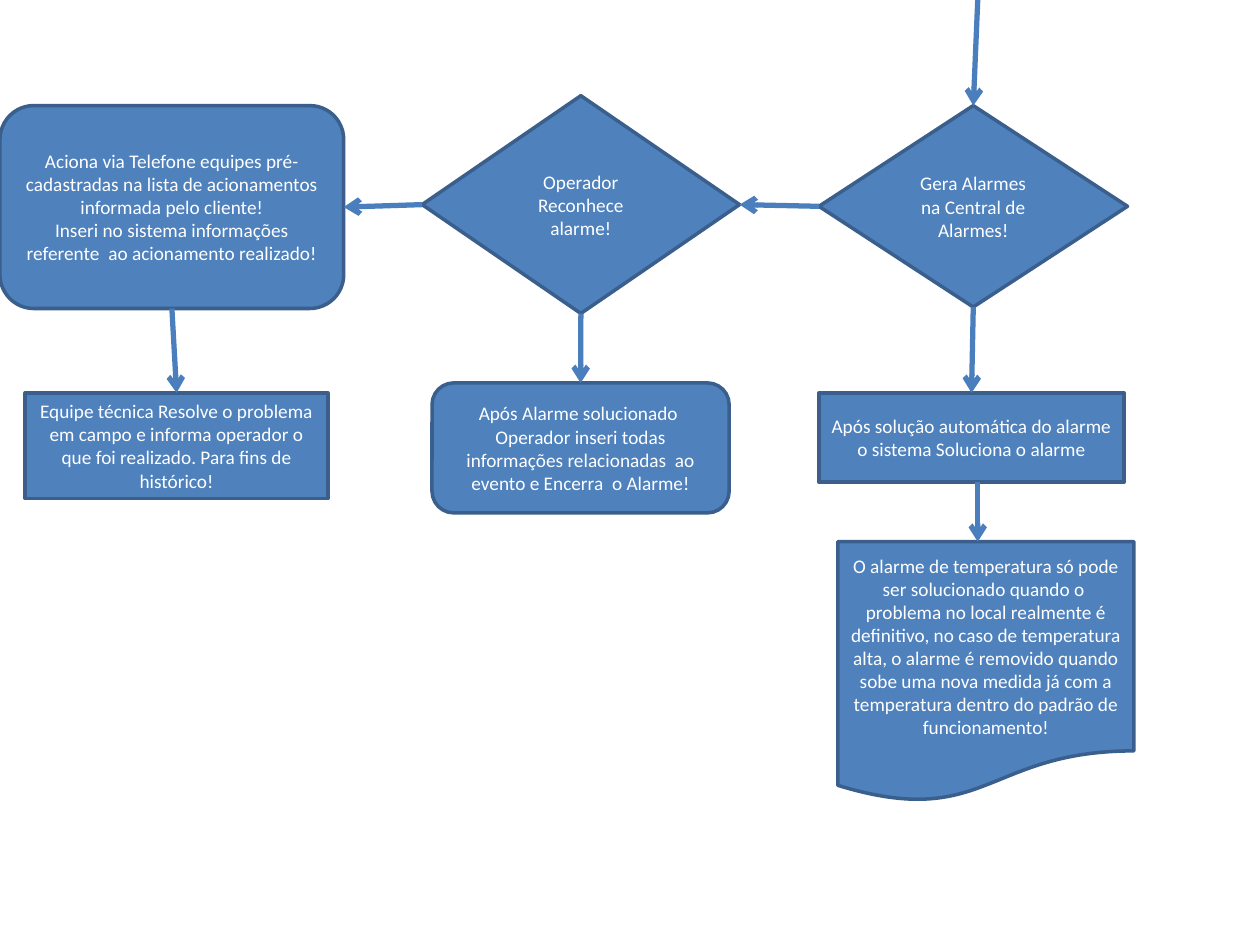
from pptx import Presentation
from pptx import util as u
from pptx.dml.color import RGBColor
from pptx.enum import shapes, text
from pptx.oxml import ns, xmlchemy

FILL = RGBColor(0x4F, 0x81, 0xBD)
OUTLINE = RGBColor(0x3A, 0x5F, 0x8C)
ARROW = RGBColor(0x4B, 0x7E, 0xBC)
WHITE = RGBColor(0xFF, 0xFF, 0xFF)
TOP, LEFT, BOTTOM, RIGHT = range(4)
KIND = shapes.MSO_SHAPE


def write(frame, wording, font="Calibri", size=11, color=WHITE, align=text.PP_ALIGN.CENTER):
    frame.word_wrap = True
    frame.vertical_anchor = text.MSO_ANCHOR.MIDDLE
    frame.text = wording
    for paragraph in frame.paragraphs:
        paragraph.alignment = align
        for run in paragraph.runs:
            run.font.name = font
            run.font.size = u.Pt(size)
            run.font.color.rgb = color


class Flowchart:
    """Draws steps and arrows on one slide in a shared style."""

    def __init__(self, slide):
        self.slide = slide

    def step(self, kind, left, top, width, height, wording):
        box = self.slide.shapes.add_shape(kind, *map(u.Cm, (left, top, width, height)))
        box.shadow.inherit = False
        box.fill.solid()
        box.fill.fore_color.rgb = FILL
        box.line.color.rgb = OUTLINE
        box.line.width = u.Pt(2)
        write(box.text_frame, wording)
        return box

    def arrow(self, start=(0, 0), end=(0, 0)):
        link = self.slide.shapes.add_connector(
            shapes.MSO_CONNECTOR.STRAIGHT, *map(u.Cm, start + end))
        link.line.color.rgb = ARROW
        link.line.width = u.Pt(3)
        properties = link.element.spPr
        head = xmlchemy.OxmlElement("a:tailEnd")
        head.set("type", "arrow")
        properties.find(ns.qn("a:ln")).append(head)
        properties.append(xmlchemy.OxmlElement("a:effectLst"))
        return link

    def join(self, source, source_side, target, target_side):
        link = self.arrow()
        link.begin_connect(source, source_side)
        link.end_connect(target, target_side)


def main():
    deck = Presentation()
    deck.slide_width, deck.slide_height = u.Cm(25.4), u.Cm(19.05)
    chart = Flowchart(deck.slides.add_slide(deck.slide_layouts[6]))

    phone_call = chart.step(
        KIND.ROUNDED_RECTANGLE, 0, 2.13, 6.93, 4.09,
        "Aciona via Telefone equipes pré-cadastradas na lista de acionamentos "
        "informada pelo cliente!\n"
        "Inseri no sistema informações referente  ao acionamento realizado!")
    recognition = chart.step(
        KIND.FLOWCHART_DECISION, 8.51, 1.93, 6.4, 4.39, "Operador Reconhece alarme!")
    alarm = chart.step(
        KIND.FLOWCHART_DECISION, 16.51, 2.13, 6.22, 4.06, "Gera Alarmes na Central de Alarmes!")
    field_team = chart.step(
        KIND.RECTANGLE, 0.51, 7.92, 6.1, 2.13,
        "Equipe técnica Resolve o problema em campo e informa operador o que foi "
        "realizado. Para fins de histórico!")
    closing = chart.step(
        KIND.FLOWCHART_ALTERNATE_PROCESS, 8.71, 7.72, 5.99, 2.62,
        "Após Alarme solucionado  Operador inseri todas informações relacionadas  ao "
        "evento e Encerra  o Alarme!")
    automatic = chart.step(
        KIND.FLOWCHART_PROCESS, 16.51, 7.92, 6.15, 1.8,
        "Após solução automática do alarme o sistema Soluciona o alarme")
    chart.step(
        KIND.FLOWCHART_DOCUMENT, 16.89, 10.92, 5.97, 5.26,
        "O alarme de temperatura só pode ser solucionado quando o  problema no local "
        "realmente é definitivo, no caso de temperatura alta, o alarme é removido quando "
        "sobe uma nova medida já com a temperatura dentro do padrão de funcionamento!")

    incoming = chart.arrow((19.71, 0), (19.62, 2.13))
    incoming.end_connect(alarm, TOP)
    chart.arrow((19.71, 9.72), (19.71, 10.92))
    chart.join(alarm, LEFT, recognition, RIGHT)
    chart.join(recognition, LEFT, phone_call, RIGHT)
    for upper, lower in ((phone_call, field_team), (recognition, closing), (alarm, automatic)):
        chart.join(upper, BOTTOM, lower, TOP)

    deck.save("out.pptx")


if __name__ == "__main__":
    main()
